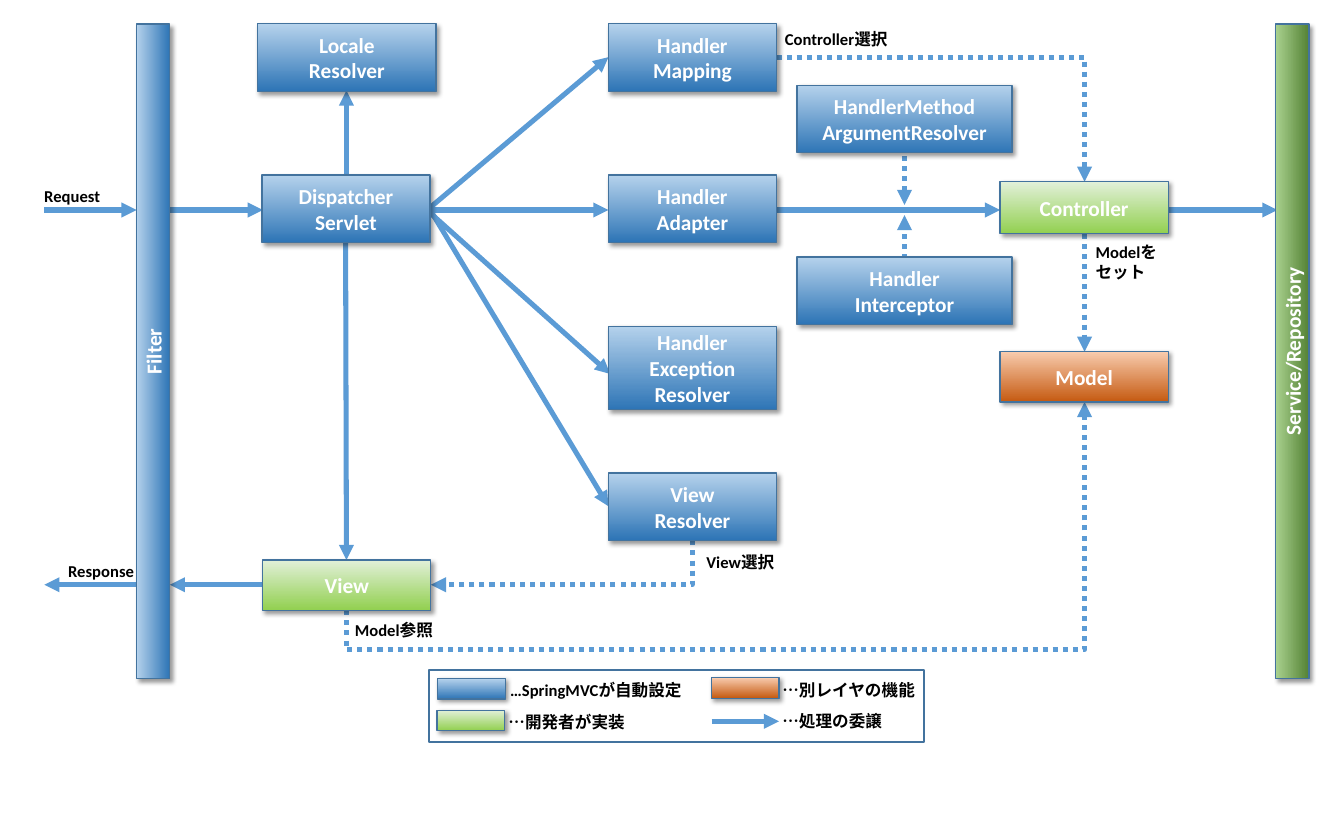
from lxml import etree
from pptx import Presentation
from pptx import util as u
from pptx.dml.color import RGBColor
from pptx.enum import dml, shapes, text
from pptx.oxml import ns

COLORS = {"arrow": "5B9BD5", "border": "43739E", "box_text": "FFFFFF",
          "label": "000000", "shadow": "000000"}
GRADIENTS = {  # bottom colour, top colour
    "auto": ("2E75B6", "B5D2EC"), "developer": ("92D050", "E2F0D9"),
    "layer": ("C55A11", "F8CBAD"), "service": ("548235", "A9D18E")}
BOX_W, BOX_H, BAR_W, BAR_H = 1.97, 0.79, 0.39, 7.67
FLOW_Y, RESPONSE_Y = 2.46, 6.85
DISPATCHER_X, HANDLER_X, CONTROLLER_X = 3.07, 7.13, 11.72
VIEW_MID, MODEL_MID = 4.06, 12.71


def rgb(name):
    return RGBColor.from_string(COLORS.get(name, name))


def write(frame, words, size, color, align):
    frame.text = words
    for line in frame.paragraphs:
        line.alignment = align
        line.font.name, line.font.size, line.font.bold = "Calibri", u.Pt(size), True
        line.font.color.rgb = rgb(color)


def add_child(parent, tag, **attributes):
    return etree.SubElement(parent, ns.qn(tag), **attributes)


def add_shadow(shape):
    effects = add_child(shape.element.spPr, "a:effectLst")
    shadow = add_child(effects, "a:outerShdw", blurRad=str(u.Pt(4)), dist=str(u.Pt(3)),
                       dir="2700000", algn="tl", rotWithShape="0")
    add_child(add_child(shadow, "a:srgbClr", val=COLORS["shadow"]),
              "a:alpha", val="40000")


def add_rect(slide, left, top, width, height):
    rect = slide.shapes.add_shape(shapes.MSO_SHAPE.RECTANGLE, u.Inches(left),
                                  u.Inches(top), u.Inches(width), u.Inches(height))
    rect.line.color.rgb = rgb("border")
    rect.line.width = u.Pt(1)
    return rect


def add_box(slide, words, left, top, width=BOX_W, height=BOX_H, kind="auto"):
    box = add_rect(slide, left, top, width, height)
    box.fill.gradient()
    box.fill.gradient_angle = 90
    for stop, color, position in zip(box.fill.gradient_stops, GRADIENTS[kind], (0, 1)):
        stop.color.rgb = rgb(color)
        stop.position = position
    add_shadow(box)
    if words:
        write(box.text_frame, words, 18, "box_text", text.PP_ALIGN.CENTER)
    return box


def add_bar(slide, words, left, top, kind="auto"):
    shift = (BAR_H - BAR_W) / 2
    bar = add_box(slide, words, left - shift, top + shift, BAR_H, BAR_W, kind)
    bar.rotation = 270


def add_label(slide, words, left, top, width):
    label = slide.shapes.add_textbox(u.Inches(left), u.Inches(top),
                                     u.Inches(width), u.Inches(0.34))
    label.text_frame.word_wrap = True
    label.text_frame.auto_size = text.MSO_AUTO_SIZE.SHAPE_TO_FIT_TEXT
    write(label.text_frame, words, 14, "label", text.PP_ALIGN.LEFT)


def add_arrow(slide, start, end, dotted=False, kind=shapes.MSO_CONNECTOR.STRAIGHT):
    arrow = slide.shapes.add_connector(kind, *map(u.Inches, start + end))
    arrow.line.color.rgb = rgb("arrow")
    arrow.line.width = u.Pt(4.25)
    if dotted:
        arrow.line.dash_style = dml.MSO_LINE.ROUND_DOT
    add_child(arrow.line._get_or_add_ln(), "a:tailEnd", type="triangle")
    add_child(arrow.element.spPr, "a:effectLst")
    return arrow


def add_bent_arrow(slide, start, end, preset="bentConnector2", turned=False,
                   flipped=False, bend=None):
    arrow = add_arrow(slide, start, end, True, shapes.MSO_CONNECTOR.ELBOW)
    geometry = arrow.element.spPr.find(ns.qn("a:prstGeom"))
    geometry.set("prst", preset)
    frame = arrow.element.spPr.find(ns.qn("a:xfrm"))
    for flip in ("flipH", "flipV"):
        frame.set(flip, str(int(flipped)))
    if turned:
        shift = (arrow.width - arrow.height) // 2
        arrow.left, arrow.top = arrow.left + shift, arrow.top - shift
        arrow.width, arrow.height = arrow.height, arrow.width
        frame.set("rot", "5400000")
    if bend is not None:
        guides = geometry.find(ns.qn("a:avLst"))
        add_child(guides, "a:gd", name="adj1", fmla=f"val {round(bend * 100000)}")


def draw_arrows(slide):
    # Request, handling and response
    for start, end in ((0.52, 1.6), (1.8, 3.08), (4.88, HANDLER_X),
                       (8.98, CONTROLLER_X), (13.69, 14.97)):
        add_arrow(slide, (start, FLOW_Y), (end, FLOW_Y))
    for start, end in ((3.07, 1.99), (1.6, 0.52)):
        add_arrow(slide, (start, RESPONSE_Y), (end, RESPONSE_Y))
    # Delegation from the dispatcher
    add_arrow(slide, (VIEW_MID, 2.08), (VIEW_MID, 1.06))
    add_arrow(slide, (4.05, 2.83), (VIEW_MID, 6.56))
    for start_x, end_x, end_y in ((5.03, 7.13, 0.67), (4.98, 7.15, 4.38), (5.03, 7.13, 5.93)):
        add_arrow(slide, (start_x, 2.44), (end_x, end_y))
    # Selection, model and argument handling
    add_arrow(slide, (MODEL_MID, 2.74), (MODEL_MID, 4.12), True)
    add_arrow(slide, (10.6, 1.83), (10.6, 2.4), True)
    add_arrow(slide, (10.6, 3.15), (10.6, 2.52), True)
    add_bent_arrow(slide, (9.1, 0.67), (MODEL_MID, 2.13))
    add_bent_arrow(slide, (8.11, 6.33), (5.05, RESPONSE_Y), turned=True)
    add_bent_arrow(slide, (VIEW_MID, 7.15), (MODEL_MID, 4.71), "bentConnector3",
                   turned=True, flipped=True, bend=-0.19)


def draw_entry(slide, left, top):
    add_bar(slide, "Filter", left + 1.18, top)
    add_label(slide, "Request", left, top + 1.85, 0.93)
    add_label(slide, "Response", left + 0.28, top + 6.24, 1.02)


def draw_dispatcher(slide, left, top):
    add_box(slide, "Locale\nResolver", left - 0.05, top, 2.09)
    add_box(slide, "Dispatcher\nServlet", left, top + 1.77)
    add_box(slide, "View", left + 0.01, top + 6.28, height=0.59, kind="developer")
    add_label(slide, "Model参照", left + 0.99, top + 6.93, 1.21)


def draw_handlers(slide, left, top):
    for words, drop, height in (("Handler\nMapping", 0, BOX_H),
                                ("Handler\nAdapter", 1.77, BOX_H),
                                ("Handler\nException\nResolver", 3.54, 0.98),
                                ("View\nResolver", 5.26, BOX_H)):
        add_box(slide, words, left, top + drop, height=height)
    add_label(slide, "View選択", left + 1.05, top + 6.14, 1.01)
    add_label(slide, "Controller選択", left + BOX_W, top + 0.01, 1.62)


def draw_extensions(slide, left, top):
    for row, words in enumerate(("HandlerMethod\nArgumentResolver", "Handler\nInterceptor")):
        add_box(slide, words, left, top + row * 2.01, 2.52)


def draw_controller(slide, left, top):
    add_box(slide, "Controller", left, top, height=0.61, kind="developer")
    add_box(slide, "Model", left, top + 1.99, height=0.59, kind="layer")
    add_label(slide, "Modelを\u200bセット", left + 1.02, top + 0.66, 0.98)


def draw_legend(slide, left, top, width, height):
    frame = add_rect(slide, left, top, width, height)
    frame.fill.background()
    frame.line.width = u.Pt(1.75)
    frame.shadow.inherit = False
    swatches = (("auto", 0.1, 0.1), ("developer", 0.09, 0.47), ("layer", 3.31, 0.09))
    for kind, x, y in swatches:
        add_box(slide, "", left + x, top + y, 0.79, 0.24, kind)
    add_arrow(slide, (left + 3.31, top + 0.6), (left + 4.1, top + 0.6))
    for words, x, y, span in (("…SpringMVCが自動設定", 0.85, 0.07, 2.46),
                              ("…開発者が実装", 0.83, 0.44, 1.73),
                              ("…別レイヤの機能", 4.04, 0.07, 1.95),
                              ("…処理の委譲", 4.04, 0.43, 1.5)):
        add_label(slide, words, left + x, top + y, span)


deck = Presentation()
deck.slide_width, deck.slide_height = u.Inches(15.75), u.Inches(9.84)
architecture = deck.slides.add_slide(deck.slide_layouts[6])
draw_arrows(architecture)
draw_entry(architecture, 0.42, 0.28)
draw_dispatcher(architecture, DISPATCHER_X, 0.28)
draw_handlers(architecture, HANDLER_X, 0.28)
draw_extensions(architecture, 9.34, 1)
draw_controller(architecture, CONTROLLER_X, 2.13)
add_bar(architecture, "Service/Repository", 14.95, 0.28, "service")
draw_legend(architecture, 5.03, 7.85, 5.8, 0.84)
deck.save("out.pptx")
